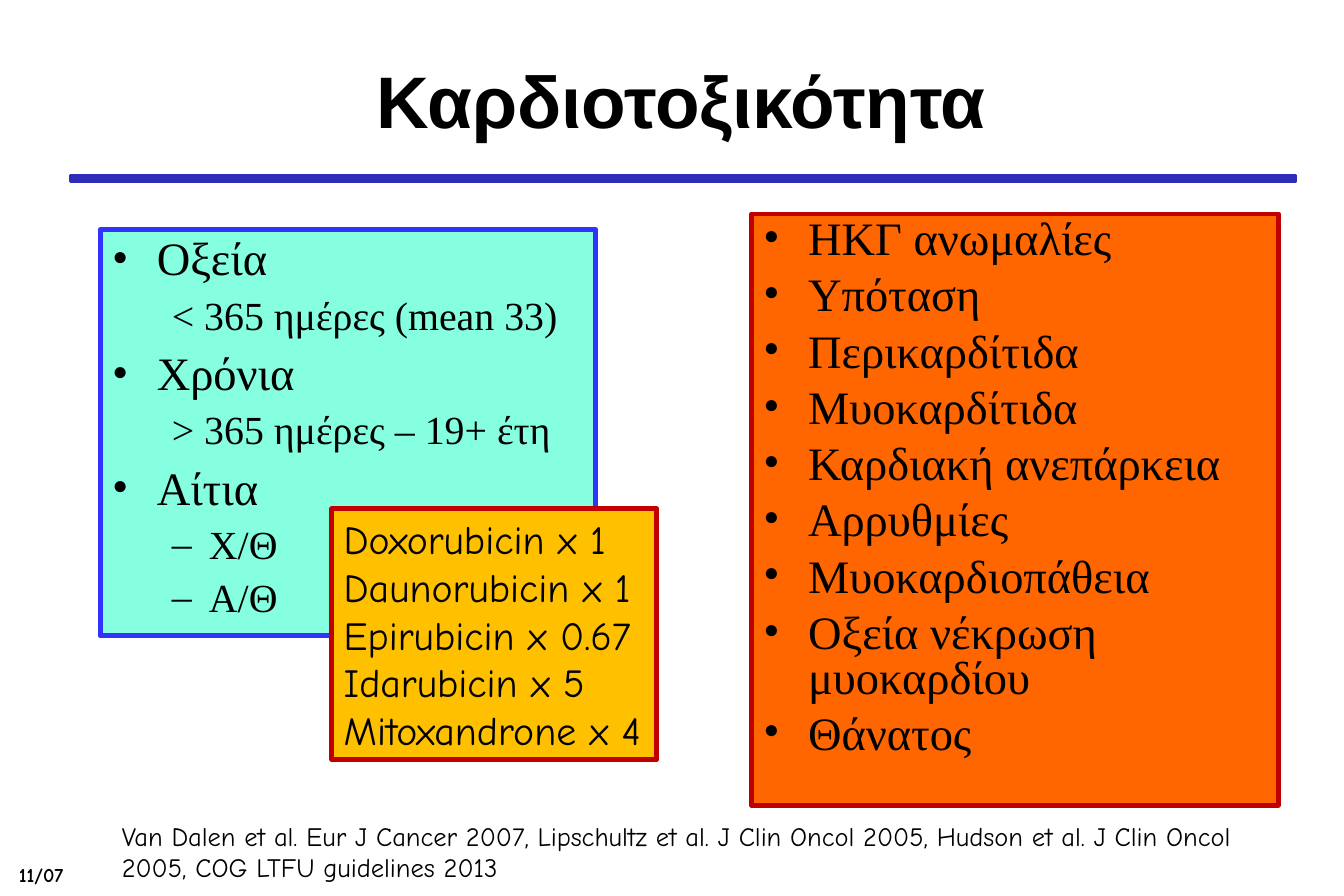
from dataclasses import dataclass

from lxml.etree import SubElement
from pptx import Presentation
from pptx.dml.color import RGBColor
from pptx.enum.shapes import MSO_SHAPE as Shape
from pptx.enum.text import MSO_ANCHOR as Anchor, MSO_AUTO_SIZE as AutoSize, PP_ALIGN as Align
from pptx.oxml.ns import qn
from pptx.util import Cm, Pt


@dataclass(frozen=True)
class Theme:
    ink: str = "000000"
    rule: str = "2D2DB9"
    mint: str = "85FFE0"
    blue: str = "3333FF"
    orange: str = "FF6600"
    amber: str = "FFC000"
    red: str = "C00000"
    title_font: str = "Arial"
    list_font: str = "Times New Roman"
    note_font: str = "Comic Neue"
    title_size: int = 44
    list_sizes: tuple = (28, 24)
    list_gaps: tuple = (7, 6)
    list_indents: tuple = ((0.95, -0.95), (2.06, -0.79))
    dose_size: int = 24
    source_size: int = 16
    date_size: int = 12
    border: int = 3


class SlideBuilder:
    def __init__(self, page, theme):
        self.page = page
        self.theme = theme

    def place(self, shape, area):
        shape.left, shape.top, shape.width, shape.height = map(Cm, area)

    def paint(self, shape, fill, line, width):
        shape.fill.solid()
        shape.fill.fore_color.rgb = RGBColor.from_string(fill)
        shape.line.color.rgb = RGBColor.from_string(line)
        shape.line.width = Pt(width)

    def style(self, para, font, size, bold=False):
        for span in para.runs:
            span.font.name = font
            span.font.size = Pt(size)
            span.font.bold = bold
            span.font.color.rgb = RGBColor.from_string(self.theme.ink)

    def title(self, text, area):
        box = self.page.shapes.title
        self.place(box, area)
        frame = box.text_frame
        frame.text = text
        frame.auto_size = AutoSize.NONE
        frame.vertical_anchor = Anchor.MIDDLE
        para = frame.paragraphs[0]
        para.alignment = Align.CENTER
        self.style(para, self.theme.title_font, self.theme.title_size, bold=True)

    def bar(self, area, color, width):
        shape = self.page.shapes.add_shape(Shape.RECTANGLE, *map(Cm, area))
        shape.shadow.inherit = False
        self.paint(shape, color, color, width)

    def bullet(self, para, level, mark):
        """Set the indent of the level and the bullet mark, or no bullet."""
        margin, indent = self.theme.list_indents[level]
        props = para._p.get_or_add_pPr()
        props.set("marL", str(Cm(margin)))
        props.set("indent", str(Cm(indent)))
        if mark:
            SubElement(props, qn("a:buFont"), typeface=self.theme.list_font)
            SubElement(props, qn("a:buChar"), char=mark)
        else:
            SubElement(props, qn("a:buNone"))

    def bullet_list(self, index, items, area, fill, line, spacing):
        """Fill a body placeholder with (level, mark, text) items."""
        box = self.page.placeholders[index]
        self.place(box, area)
        self.paint(box, fill, line, self.theme.border)
        frame = box.text_frame
        frame.text = "\n".join(text for _, _, text in items)
        frame.auto_size = AutoSize.NONE
        frame.vertical_anchor = Anchor.TOP
        for number, (para, (level, mark, _)) in enumerate(zip(frame.paragraphs, items)):
            para.level = level
            para.line_spacing = spacing
            para.space_before = Pt(self.theme.list_gaps[level] if number else 0)
            self.bullet(para, level, mark)
            self.style(para, self.theme.list_font, self.theme.list_sizes[level])

    def note(self, text, area, size, wrap=False, bold=False):
        box = self.page.shapes.add_textbox(*map(Cm, area))
        frame = box.text_frame
        frame.text = text
        frame.word_wrap = wrap
        frame.auto_size = AutoSize.SHAPE_TO_FIT_TEXT
        for para in frame.paragraphs:
            self.style(para, self.theme.note_font, size, bold)
        return box


def main():
    deck = Presentation()
    deck.slide_width, deck.slide_height = Cm(28.58), Cm(19.05)
    theme = Theme()
    two_content = deck.slide_layouts[3]
    builder = SlideBuilder(deck.slides.add_slide(two_content), theme)

    builder.title("Καρδιοτοξικότητα", (1.98, 0.53, 25.02, 3.18))
    builder.bar((1.5, 3.73, 26.04, 0.13), theme.rule, 2)

    kinds = [
        (0, "•", "Οξεία"),
        (1, None, "< 365 ημέρες (mean 33)"),
        (0, "•", "Χρόνια"),
        (1, None, "> 365 ημέρες – 19+ έτη"),
        (0, "•", "Αίτια"),
        (1, "–", "Χ/Θ"),
        (1, "–", "Α/Θ"),
    ]
    builder.bullet_list(1, kinds, (2.13, 4.88, 10.54, 8.64), theme.mint, theme.blue, 0.9)

    effects = [
        "ΗΚΓ ανωμαλίες", "Υπόταση", "Περικαρδίτιδα", "Μυοκαρδίτιδα",
        "Καρδιακή ανεπάρκεια", "Αρρυθμίες", "Μυοκαρδιοπάθεια",
        "Οξεία νέκρωση μυοκαρδίου", "Θάνατος",
    ]
    builder.bullet_list(2, [(0, "•", effect) for effect in effects],
                        (15.98, 4.55, 11.2, 12.57), theme.orange, theme.red, 0.8)

    doses = {"Doxorubicin": "1", "Daunorubicin": "1", "Epirubicin": "0.67",
             "Idarubicin": "5", "Mitoxandrone": "4"}
    dose_box = builder.note("\n".join(f"{drug} x {factor}" for drug, factor in doses.items()),
                            (7.06, 10.82, 6.91, 5.33), theme.dose_size)
    builder.paint(dose_box, theme.amber, theme.red, theme.border)

    builder.note("Van Dalen et al. Eur J Cancer 2007, Lipschultz et al. J Clin Oncol 2005, "
                 "Hudson et al. J Clin Oncol 2005, COG LTFU guidelines 2013",
                 (2.34, 17.3, 25.15, 1.63), theme.source_size, wrap=True)
    builder.note("11/07", (0.15, 18.21, 1.45, 0.76), theme.date_size, bold=True)

    deck.save("out.pptx")


if __name__ == "__main__":
    main()
